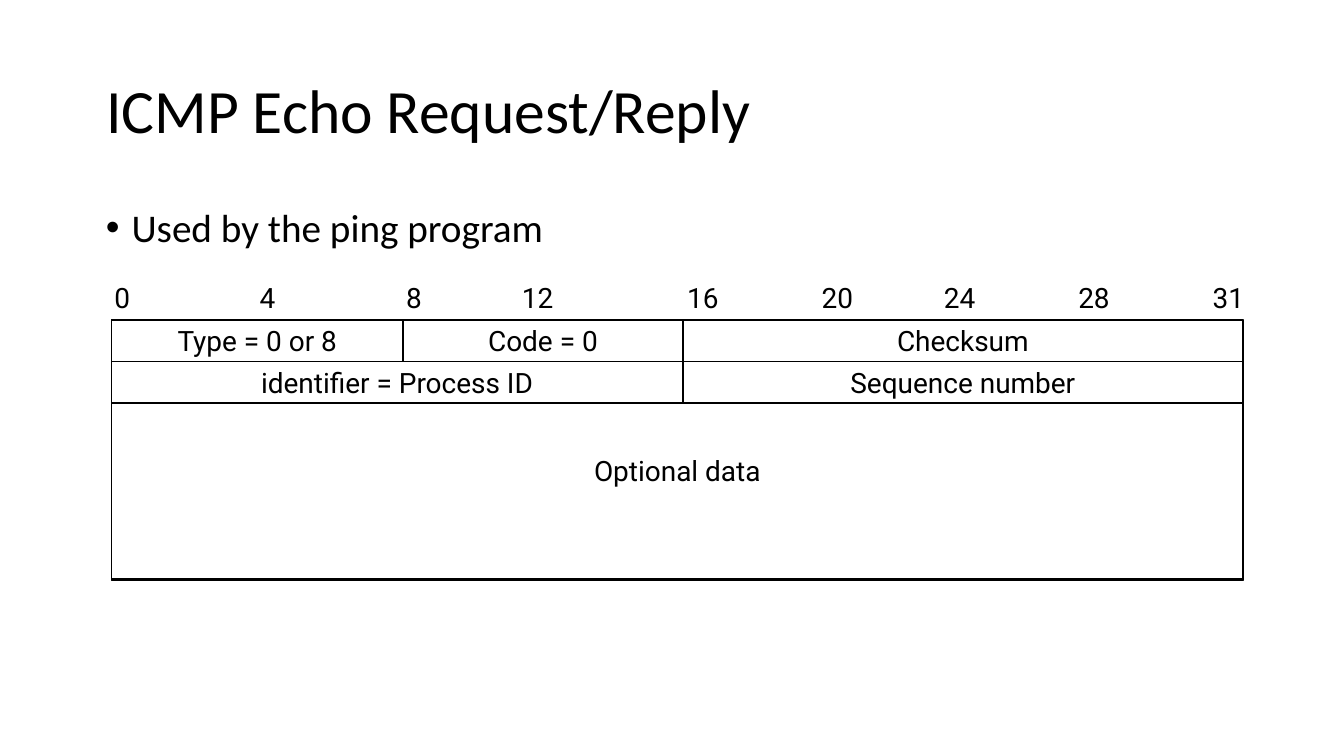
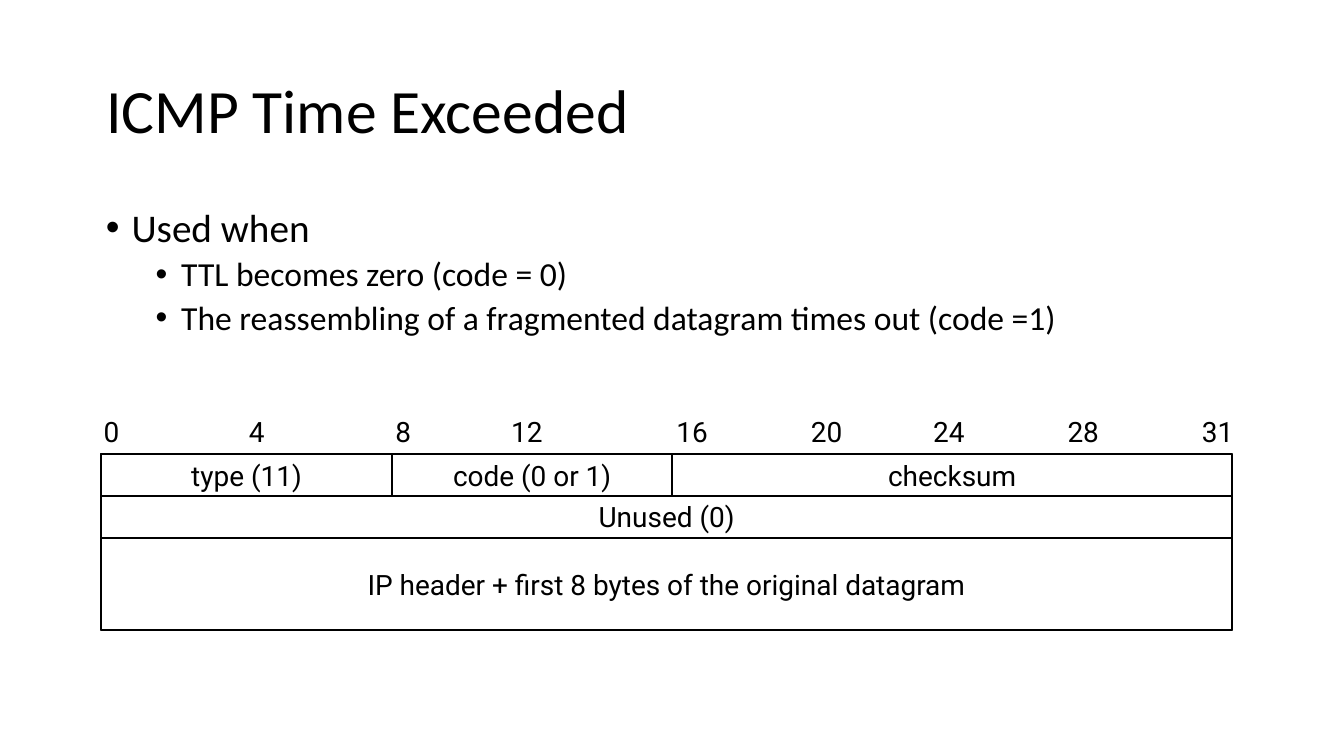
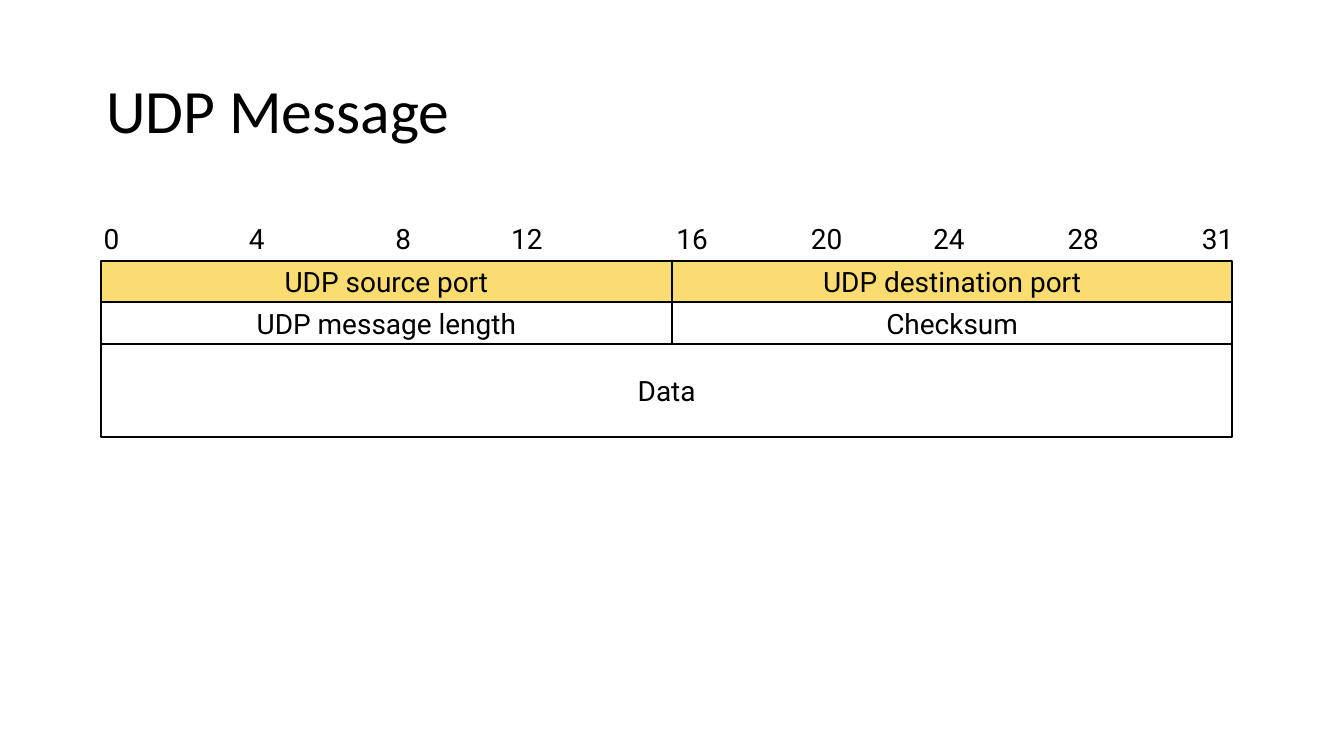
"""Build three slides that show the layout of ICMP and UDP messages."""
from dataclasses import dataclass
from typing import Optional

import lxml.etree
import pptx
import pptx.dml.color
import pptx.enum.shapes
import pptx.enum.text
import pptx.oxml.ns
import pptx.presentation
import pptx.slide
import pptx.text.text
import pptx.util

Inches = pptx.util.Inches
Pt = pptx.util.Pt
RGBColor = pptx.dml.color.RGBColor
MIDDLE = pptx.enum.text.MSO_ANCHOR.MIDDLE
LEFT = pptx.enum.text.PP_ALIGN.LEFT
CENTER = pptx.enum.text.PP_ALIGN.CENTER


@dataclass(frozen=True)
class Theme:
    ink: RGBColor = RGBColor(0x00, 0x00, 0x00)
    highlight: RGBColor = RGBColor(0xFA, 0xDC, 0x70)
    text_font: str = "Calibri"
    diagram_font: str = "Roboto"
    title_size: float = 33
    bullet_sizes: tuple[float, ...] = (21, 18)
    bullet_spaces: tuple[float, ...] = (7.5, 3.8)
    bullet_indents: tuple[float, ...] = (0.19, 0.56)
    diagram_size: float = 15
    line_width: float = 1
    line_spacing: float = 0.9


@dataclass(frozen=True)
class Bullet:
    text: str
    level: int = 0


@dataclass(frozen=True)
class Field:
    text: str
    row: int
    first_bit: int
    end_bit: int
    height: float = 0.31
    fill: Optional[RGBColor] = None


@dataclass(frozen=True)
class Message:
    title: str
    left: float
    top: float
    fields: tuple[Field, ...]
    bullets: tuple[Bullet, ...] = ()
    frame_height: Optional[float] = None


THEME = Theme()
CONTENT_LEFT, CONTENT_WIDTH = 0.69, 8.62
ROW_HEIGHT = 0.31
LABEL_HEIGHT = 0.34
BIT_EDGES = {0: 0, 8: 2.17, 16: 4.25, 32: 8.42}
LABEL_CENTERS = {0: 0.08, 4: 1.16, 8: 2.25, 12: 3.17, 16: 4.4,
                 20: 5.4, 24: 6.31, 28: 7.31, 31: 8.31}

MESSAGES = (
    Message(
        "ICMP Echo Request/Reply", 0.83, 2.38,
        (
            Field("Type = 0 or 8", 0, 0, 8),
            Field("Code = 0", 0, 8, 16),
            Field("Optional data", 1, 0, 32, height=1.62),
            Field("Checksum", 0, 16, 32),
            Field("identifier = Process ID", 1, 0, 16),
            Field("Sequence number", 1, 16, 32),
        ),
        (Bullet("Used by the ping program"),),
        frame_height=1.94,
    ),
    Message(
        "ICMP Time Exceeded", 0.75, 3.38,
        (
            Field("type (11)", 0, 0, 8),
            Field("code (0 or 1)", 0, 8, 16),
            Field("Unused (0)", 1, 0, 32),
            Field("IP header + first 8 bytes of the original datagram", 2, 0, 32, height=0.69),
            Field("checksum", 0, 16, 32),
        ),
        (
            Bullet("Used when"),
            Bullet("TTL becomes zero (code = 0)", 1),
            Bullet("The reassembling of a fragmented datagram times out (code =1)", 1),
        ),
        frame_height=1.31,
    ),
    Message(
        "UDP Message", 0.75, 1.94,
        (
            Field("UDP source port", 0, 0, 16, fill=THEME.highlight),
            Field("Checksum", 1, 16, 32),
            Field("UDP message length", 1, 0, 16),
            Field("Data", 2, 0, 32, height=0.69),
            Field("UDP destination port", 0, 16, 32, fill=THEME.highlight),
        ),
    ),
)


def format_runs(paragraph: pptx.text.text._Paragraph, font_name: str, size: float) -> None:
    """Give every run of a paragraph its font, size and colour."""
    for run in paragraph.runs:
        run.font.name = font_name
        run.font.size = Pt(size)
        run.font.color.rgb = THEME.ink


def set_diagram_text(text_frame: pptx.text.text.TextFrame, text: str) -> None:
    """Write one centred, unwrapped line in the diagram style."""
    text_frame.text = text
    text_frame.word_wrap = False
    text_frame.vertical_anchor = MIDDLE
    text_frame.margin_left = text_frame.margin_right = Inches(0.09)
    text_frame.margin_top = text_frame.margin_bottom = Inches(0.04)
    paragraph = text_frame.paragraphs[0]
    paragraph.alignment = CENTER
    format_runs(paragraph, THEME.diagram_font, THEME.diagram_size)


def add_title(slide: pptx.slide.Slide, text: str) -> None:
    """Place and format the title placeholder."""
    title = slide.shapes.title
    title.left, title.top = Inches(CONTENT_LEFT), Inches(0.3)
    title.width, title.height = Inches(CONTENT_WIDTH), Inches(1.09)
    title.text_frame.text = text
    title.text_frame.vertical_anchor = MIDDLE
    title.text_frame.auto_size = pptx.enum.text.MSO_AUTO_SIZE.NONE
    paragraph = title.text_frame.paragraphs[0]
    paragraph.alignment = LEFT
    paragraph.line_spacing = THEME.line_spacing
    format_runs(paragraph, THEME.text_font, THEME.title_size)


def add_bullets(slide: pptx.slide.Slide, bullets: tuple[Bullet, ...]) -> None:
    """Add the bulleted text under the title."""
    box = slide.shapes.add_textbox(Inches(CONTENT_LEFT), Inches(1.5),
                                   Inches(CONTENT_WIDTH), Inches(3.57))
    text_frame = box.text_frame
    text_frame.word_wrap = True
    text_frame.text = "\n".join(bullet.text for bullet in bullets)
    for index, (paragraph, bullet) in enumerate(zip(text_frame.paragraphs, bullets)):
        properties = paragraph._p.get_or_add_pPr()
        properties.set("marL", str(Inches(THEME.bullet_indents[bullet.level])))
        properties.set("indent", str(-Inches(THEME.bullet_indents[0])))
        for tag, attribute, value in (("a:buFont", "typeface", "Arial"), ("a:buChar", "char", "•")):
            lxml.etree.SubElement(properties, pptx.oxml.ns.qn(tag)).set(attribute, value)
        paragraph.level = bullet.level
        paragraph.line_spacing = THEME.line_spacing
        if index:
            paragraph.space_before = Pt(THEME.bullet_spaces[bullet.level])
        format_runs(paragraph, THEME.text_font, THEME.bullet_sizes[bullet.level])


def add_field(slide: pptx.slide.Slide, message: Message, field: Field) -> None:
    """Draw one field of the message, placed by its row and bit range."""
    start, end = BIT_EDGES[field.first_bit], BIT_EDGES[field.end_bit]
    shape = slide.shapes.add_shape(
        pptx.enum.shapes.MSO_SHAPE.RECTANGLE,
        Inches(message.left + start), Inches(message.top + field.row * ROW_HEIGHT),
        Inches(end - start), Inches(field.height))
    shape.shadow.inherit = False
    shape.line.color.rgb = THEME.ink
    shape.line.width = Pt(THEME.line_width)
    if field.fill is None:
        shape.fill.background()
    else:
        shape.fill.solid()
        shape.fill.fore_color.rgb = field.fill
    if field.text:
        set_diagram_text(shape.text_frame, field.text)


def add_bit_labels(slide: pptx.slide.Slide, message: Message) -> None:
    """Add the row of bit numbers above the diagram."""
    for bit, center in LABEL_CENTERS.items():
        width = 0.3 if bit < 10 else 0.42
        label = slide.shapes.add_textbox(
            Inches(message.left + center - width / 2), Inches(message.top - LABEL_HEIGHT),
            Inches(width), Inches(LABEL_HEIGHT))
        set_diagram_text(label.text_frame, str(bit))
        label.text_frame.auto_size = pptx.enum.text.MSO_AUTO_SIZE.SHAPE_TO_FIT_TEXT


def add_message_slide(presentation: pptx.presentation.Presentation, message: Message) -> None:
    """Add one slide with a title, bullets and a message diagram."""
    slide = presentation.slides.add_slide(presentation.slide_layouts.get_by_name("Title Only"))
    add_title(slide, message.title)
    if message.bullets:
        add_bullets(slide, message.bullets)
    if message.frame_height:
        add_field(slide, message, Field("", 0, 0, 32, height=message.frame_height))
    for field in message.fields:
        add_field(slide, message, field)
    add_bit_labels(slide, message)


def main() -> None:
    """Build and save the presentation."""
    presentation = pptx.Presentation()
    presentation.slide_width = Inches(10)
    presentation.slide_height = presentation.slide_width * 9 // 16
    for message in MESSAGES:
        add_message_slide(presentation, message)
    presentation.save("out.pptx")


if __name__ == "__main__":
    main()
